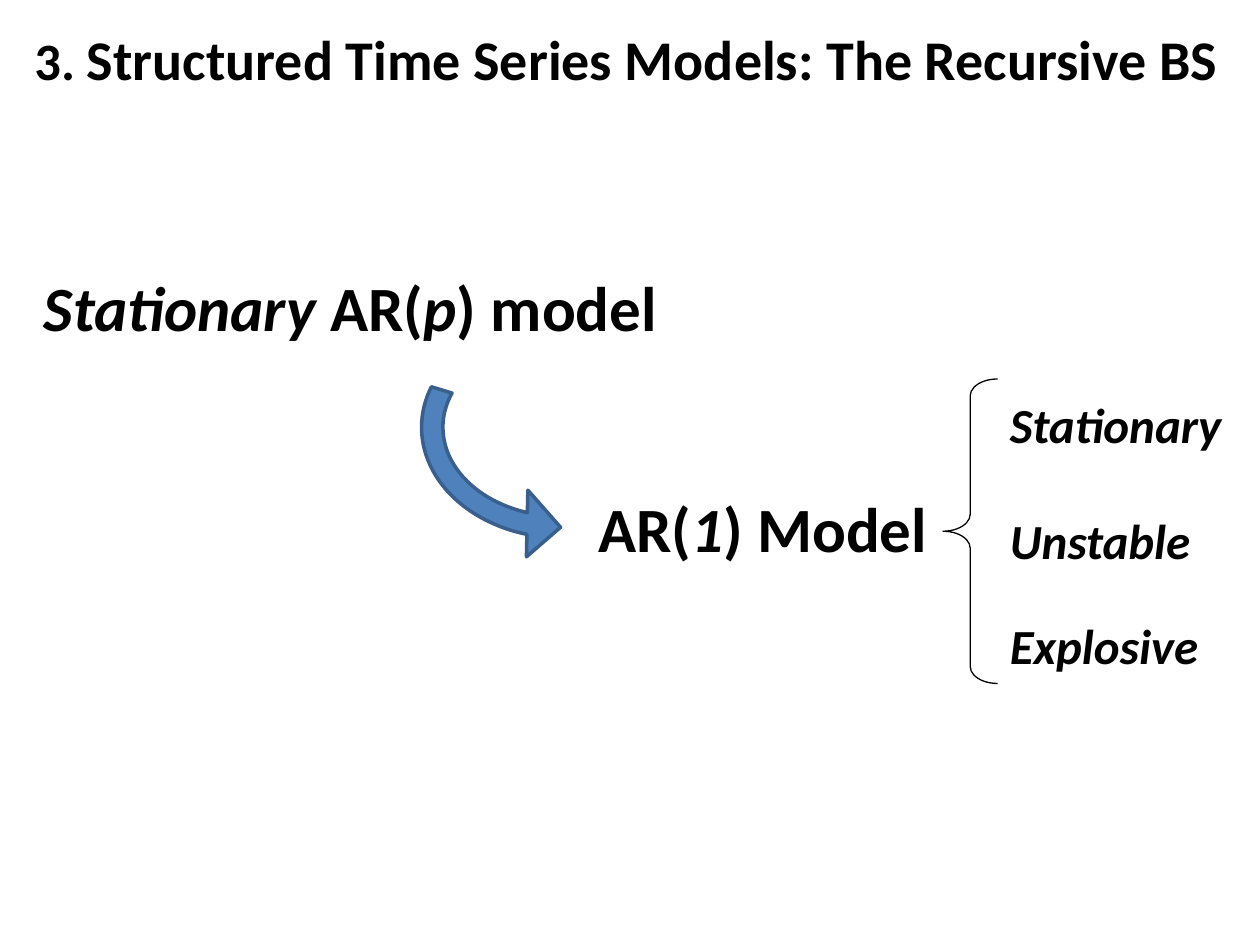
from pptx import Presentation, util as u
from pptx.dml.color import RGBColor
from pptx.enum import shapes, text
from pptx.oxml.ns import qn

CELL = u.Inches(1) / 12  # the slide is a grid of 120 columns by 90 rows
BLACK = "000000"


def color(value):
    return RGBColor.from_string(value)


def grid(*cells):
    return [round(cell * CELL) for cell in cells]


def add_text(slide, box, runs, size, wrap=True, anchor=text.MSO_ANCHOR.TOP,
             align=text.PP_ALIGN.LEFT):
    """Add one bold line; runs are (wording, italic, size or None)."""
    frame = slide.shapes.add_textbox(*grid(*box)).text_frame
    frame.word_wrap = wrap
    frame.vertical_anchor = anchor
    paragraph = frame.paragraphs[0]
    paragraph.alignment = align
    font = paragraph.font
    font.name, font.size, font.bold = "Calibri", u.Pt(size), True
    font.color.rgb = color(BLACK)
    for wording, italic, run_size in runs:
        run = paragraph.add_run()
        run.text = wording
        run.font.italic = italic
        if run_size:
            run.font.size = u.Pt(run_size)


def add_outline(slide, kind, box, adjustments, line, width, fill=None):
    shape = slide.shapes.add_shape(kind, *grid(*box))
    shape.shadow.inherit = False
    for index, value in enumerate(adjustments):
        shape.adjustments[index] = value
    shape.line.color.rgb = color(line)
    shape.line.width = u.Pt(width)
    if fill:
        shape.fill.solid()
        shape.fill.fore_color.rgb = color(fill)
    else:
        shape.fill.background()
    return shape


def add_title(slide, box):
    runs = [("3. ", False, 30),
            ("Structured Time Series Models: The Recursive BS", False, None)]
    add_text(slide, box, runs, 32, anchor=text.MSO_ANCHOR.MIDDLE,
             align=text.PP_ALIGN.CENTER)


def add_model(slide, box, runs, wrap=True):
    add_text(slide, box, [(*run, None) for run in runs], 36, wrap)


def add_curved_arrow(slide, box):
    arrow = add_outline(slide, shapes.MSO_SHAPE.CIRCULAR_ARROW, box,
                        (0.08, 11.42, 203.83, 151.71, 0.125),
                        "3A5F8C", 2, "4F81BD")
    arrow.rotation = 90
    arrow.element.spPr.find(qn("a:xfrm")).set("flipV", "1")


def add_cases(slide, box, cases):
    """Add a left brace and, right of it, each case at its row offset."""
    left, top, width, height = box
    brace_width = 5.2
    add_outline(slide, shapes.MSO_SHAPE.LEFT_BRACE,
                (left, top, brace_width, height), (0.31, 0.5), BLACK, 0.75)
    for wording, offset in cases:
        add_text(slide, (left + brace_width, top + offset, width - brace_width, 10),
                 [(wording, True, None)], 28)


def main():
    presentation = Presentation()
    presentation.slide_width, presentation.slide_height = grid(120, 90)
    slide = presentation.slides.add_slide(presentation.slide_layouts[6])
    add_title(slide, (1.2, 1, 117, 9))
    add_model(slide, (55.8, 46, 34.1, 10),
              [("AR(", False), ("1", True), (") Model", False)])
    add_model(slide, (3, 25, 61.2, 8.5),
              [("Stationary", True), (" AR(", False), ("p", True),
               (") model", False)], wrap=False)
    add_curved_arrow(slide, (40.9, 25.1, 25.4, 31.2))
    add_cases(slide, (89.8, 36.1, 28.5, 29),
              [("Stationary", 0.9), ("Unstable", 11.9), ("Explosive", 21.9)])
    presentation.save("out.pptx")


if __name__ == "__main__":
    main()
